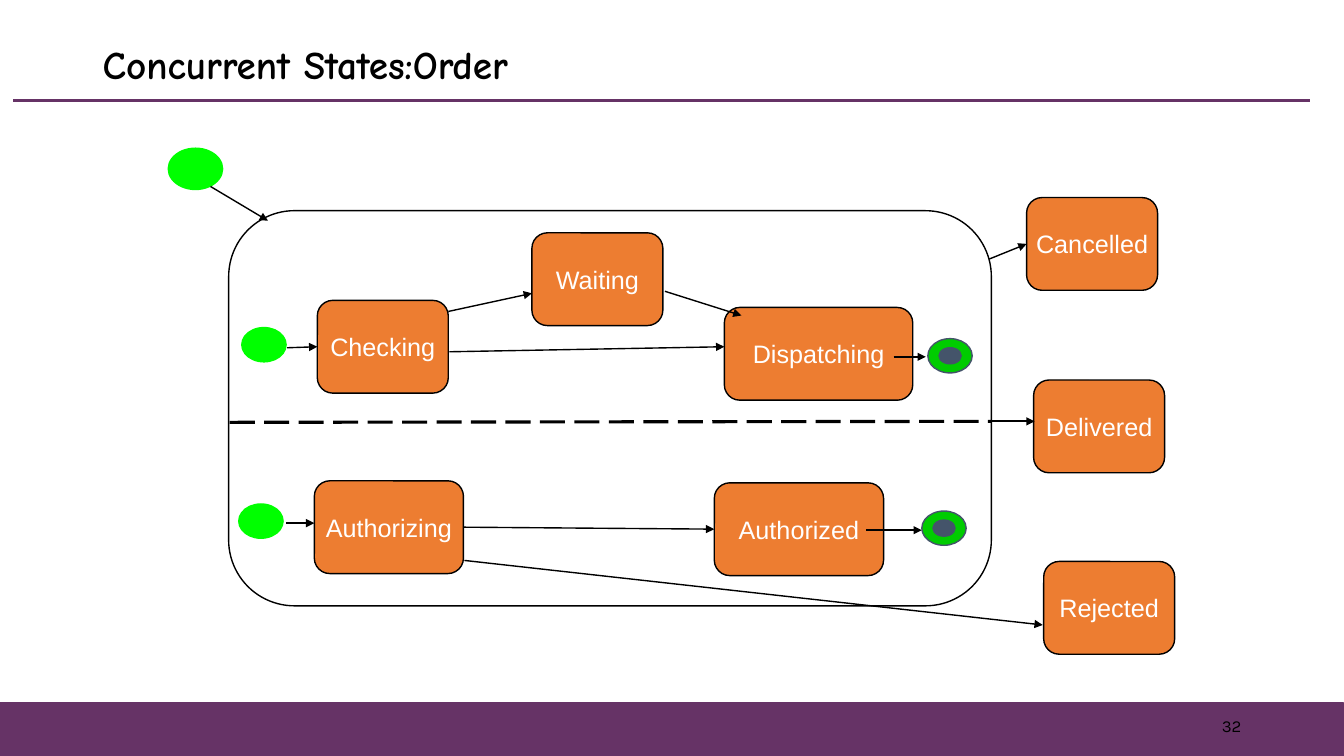
from lxml.etree import SubElement
from pptx import Presentation
from pptx.dml.color import RGBColor
from pptx.enum.dml import MSO_LINE
from pptx.enum.shapes import MSO_CONNECTOR, MSO_SHAPE
from pptx.enum.text import MSO_ANCHOR, PP_ALIGN
from pptx.oxml.ns import qn
from pptx.util import Inches, Pt

CELL = Inches(0.1)  # the slide is a grid of 133.4 columns by 75 rows
COLUMNS, ROWS = 133.4, 75
BLACK, WHITE, PURPLE, ORANGE = "000000", "FFFFFF", "663366", "ED7D31"
START_GREEN, END_GREEN, SLATE = "00FF00", "00CC00", "44546A"

presentation = Presentation()
presentation.slide_width = int(COLUMNS * CELL)
presentation.slide_height = int(ROWS * CELL)
slide = presentation.slides.add_slide(presentation.slide_layouts[6])
shapes = slide.shapes


def grid(*cells):
    return [int(cell * CELL) for cell in cells]


def paint(item, fill=None, line=None, text=None, width=1):
    """Colour an item's fill, outline and first paragraph from hex strings."""
    if fill:
        item.fill.solid()
        item.fill.fore_color.rgb = RGBColor.from_string(fill)
    if line:
        item.line.color.rgb = RGBColor.from_string(line)
        item.line.width = Pt(width)
    if text:
        font = item.text_frame.paragraphs[0].font
        font.color.rgb = RGBColor.from_string(text)


# Footer band and title rule
band = shapes.add_shape(MSO_SHAPE.RECTANGLE, *grid(0, 69.7, 133.3, 5.5))
band.shadow.inherit = False
paint(band, PURPLE, PURPLE)

# Title and page number
texts = [
    ("Concurrent States:Order", (9.2, 3, 115, 7.3), PP_ALIGN.LEFT,
     {"name": "Comic Neue", "size": Pt(28), "bold": True}),
    ("32", (94.2, 70.1, 30, 4), PP_ALIGN.RIGHT,
     {"name": "Karla", "size": Pt(12)}),
]
for words, place, alignment, font_format in texts:
    box = shapes.add_textbox(*grid(*place))
    frame = box.text_frame
    frame.word_wrap = True
    frame.vertical_anchor = MSO_ANCHOR.MIDDLE
    paragraph = frame.paragraphs[0]
    paragraph.text = words
    paragraph.alignment = alignment
    paragraph.line_spacing = 0.9
    for name, value in font_format.items():
        setattr(paragraph.font, name, value)
    paint(box, text=BLACK)

# Composite state
composite = shapes.add_shape(MSO_SHAPE.ROUNDED_RECTANGLE,
                             *grid(22.7, 20.9, 75.7, 39.2))
composite.shadow.inherit = False
composite.fill.background()
paint(composite, line=BLACK)

# States: left, top, width
STATE_HEIGHT = 9.2
state_places = {
    "Cancelled": (101.9, 19.6, 13),
    "Delivered": (102.6, 37.7, 13),
    "Rejected": (103.6, 55.7, 13),
    "Checking": (31.5, 29.8, 13),
    "Waiting": (52.8, 23.1, 13),
    "Dispatching": (71.9, 30.5, 18.7),
    "Authorizing": (31.2, 47.7, 14.8),
    "Authorized": (70.9, 47.9, 16.8),
}
label_format = {"name": "Arial", "size": Pt(18)}
states = {}
for label, place in state_places.items():
    state = shapes.add_shape(MSO_SHAPE.ROUNDED_RECTANGLE,
                             *grid(*place, STATE_HEIGHT))
    state.shadow.inherit = False
    frame = state.text_frame
    frame.margin_left = frame.margin_right = 0
    frame.vertical_anchor = MSO_ANCHOR.MIDDLE
    paragraph = frame.paragraphs[0]
    paragraph.text = label
    paragraph.alignment = PP_ALIGN.CENTER
    for name, value in label_format.items():
        setattr(paragraph.font, name, value)
    paint(state, ORANGE, BLACK, WHITE)
    states[label] = state

# Start and end markers: centre, size, fill, outline
markers = [(19.4, 16.75, 5.4, 4.1, START_GREEN, START_GREEN)]
for x, y in [(26.2, 34.2), (25.9, 51.7)]:
    markers.append((x, y, 4.4, 3.4, START_GREEN, START_GREEN))
for x, y in [(94.3, 35.3), (93.7, 52.4)]:
    markers.append((x, y, 4.4, 3.4, END_GREEN, SLATE))
    markers.append((x, y, 2.2, 1.6, SLATE, SLATE))
for x, y, width, height, fill, line in markers:
    marker = shapes.add_shape(
        MSO_SHAPE.OVAL, *grid(x - width / 2, y - height / 2, width, height))
    marker.shadow.inherit = False
    paint(marker, fill, line)

# Lines: ends, colour, width, arrowhead, dash, state joined at start, at end
lines = [
    ((1.3, 10, 130, 10), PURPLE, 2.25, False, None, None, None),
    ((22.8, 41.9, 98.4, 41.8), BLACK, 2.25, False, MSO_LINE.LONG_DASH, None, None),
    ((98.4, 41.8, 102.7, 41.8), BLACK, 1.5, True, None, None, None),
]
transitions = [
    ((20.9, 18.5, 26.6, 21.9), None, None),
    ((28.5, 34.5, 31.3, 34.5), None, "Checking"),
    ((28.4, 51.9, 31.2, 51.9), None, None),
    ((44.5, 30.9, 52.8, 29.1), None, None),
    ((44.6, 34.9, 71.9, 34.4), None, None),
    ((66, 28.9, 73.6, 31.3), None, None),
    ((88.7, 35.4, 91.9, 35.4), None, None),
    ((46.1, 52.4, 70.9, 52.6), "Authorizing", "Authorized"),
    ((86, 52.6, 91.5, 52.6), None, None),
    ((46.1, 55.6, 103.5, 62), None, None),
    ((98.2, 25.7, 102, 24.5), None, "Cancelled"),
]
for ends, source, target in transitions:
    lines.append((ends, BLACK, 1, True, None, source, target))

LEFT_SIDE, RIGHT_SIDE = 1, 3
for ends, color, width, arrow, dash, source, target in lines:
    connector = shapes.add_connector(MSO_CONNECTOR.STRAIGHT, *grid(*ends))
    paint(connector, line=color, width=width)
    if dash:
        connector.line.dash_style = dash
    if source:
        connector.begin_connect(states[source], RIGHT_SIDE)
    if target:
        connector.end_connect(states[target], LEFT_SIDE)
    properties = connector.element.spPr
    if arrow:
        SubElement(properties.find(qn("a:ln")), qn("a:tailEnd"), type="triangle")
    SubElement(properties, qn("a:effectLst"))

presentation.save("out.pptx")
